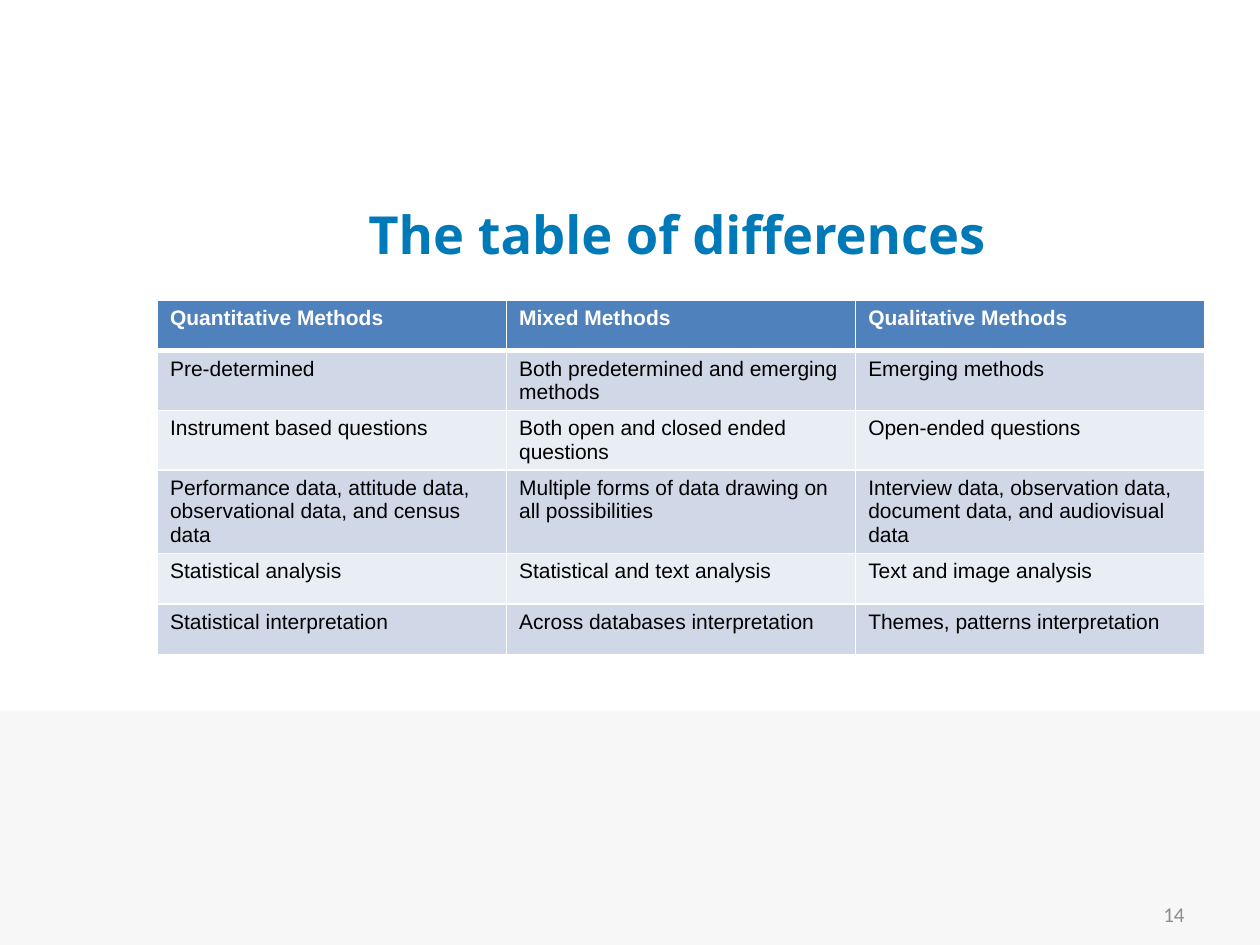
from dataclasses import dataclass
from lxml.etree import SubElement as Sub
from pptx import Presentation
from pptx.dml.color import RGBColor as RGB
from pptx.enum.shapes import MSO_SHAPE as Form
from pptx.enum.text import MSO_ANCHOR as Anchor, PP_ALIGN as Align
from pptx.oxml.ns import qn
from pptx.util import Pt

HUES = {
    "paper": "FFFFFF", "band": "F7F7F7", "title": "0079B8", "page": "8C8C8C",
    "head": "4F81BD", "odd": "D0D8E8", "even": "E9EDF4", "ink": "000000",
}
ROWS = [
    ("Quantitative Methods", "Mixed Methods", "Qualitative Methods"),
    ("Pre-determined", "Both predetermined and emerging methods",
     "Emerging methods"),
    ("Instrument based questions", "Both open and closed ended questions",
     "Open-ended questions"),
    ("Performance data, attitude data, observational data, and census data",
     "Multiple forms of data drawing on all possibilities",
     "Interview data, observation data, document data, and audiovisual data"),
    ("Statistical analysis", "Statistical and text analysis",
     "Text and image analysis"),
    ("Statistical interpretation", "Across databases interpretation",
     "Themes, patterns interpretation"),
]
COL, ROW = 199.5, 29


@dataclass
class Style:
    face: str
    size: float
    hue: str
    bold: bool = False


@dataclass
class Label:
    text: str
    box: tuple[float, float, float, float]
    align: Align
    style: Style


LABELS = [
    Label("The table of differences", (90, 108, 594, 50.4), Align.CENTER,
          Style("Open Sans", 30, "title", True)),
    Label("14", (516, 508, 168, 28.8), Align.RIGHT,
          Style("Calibri", 12, "page")),
]


def color(name: str) -> RGB:
    return RGB.from_string(HUES[name])


def write(frame, text: str, style: Style) -> None:
    frame.text = text
    font = frame.paragraphs[0].runs[0].font
    font.name, font.size, font.bold = style.face, Pt(style.size), style.bold
    font.color.rgb = color(style.hue)


def label(slide, item: Label) -> None:
    frame = slide.shapes.add_textbox(*map(Pt, item.box)).text_frame
    frame.word_wrap = True
    frame.vertical_anchor = Anchor.MIDDLE
    write(frame, item.text, item.style)
    frame.paragraphs[0].alignment = item.align


def edge(cell, side: str, width: float) -> None:
    line = Sub(cell._tc.get_or_add_tcPr(), qn(f"a:{side}"), w=str(Pt(width)))
    fill = Sub(line, qn("a:solidFill"))
    Sub(fill, qn("a:srgbClr"), val=HUES["paper"])


def grid(slide, left: float, top: float) -> None:
    rows, cols = len(ROWS), len(ROWS[0])
    table = slide.shapes.add_table(
        rows, cols, Pt(left), Pt(top), Pt(COL * cols), Pt(ROW * rows)).table
    for r, texts in enumerate(ROWS):
        head = r == 0
        fill = "head" if head else "odd" if r % 2 else "even"
        style = Style("Arial", 12, "paper" if head else "ink", head)
        for c, text in enumerate(texts):
            cell = table.cell(r, c)
            write(cell.text_frame, text, style)
            # Borders come before the fill in the cell properties
            for side in ("lnL", "lnR", "lnT", "lnB"):
                thick = (r, side) in ((0, "lnB"), (1, "lnT"))
                edge(cell, side, 3 if thick else 1)
            cell.fill.solid()
            cell.fill.fore_color.rgb = color(fill)


def main() -> None:
    deck = Presentation()
    deck.slide_width, deck.slide_height = Pt(720), Pt(540)
    slide = deck.slides.add_slide(deck.slide_layouts[6])

    # Footer band
    band = slide.shapes.add_shape(
        Form.RECTANGLE, Pt(0), Pt(406), Pt(720), Pt(134))
    band.shadow.inherit = False
    band.fill.solid()
    band.fill.fore_color.rgb = color("band")
    band.line.fill.background()

    # Table of methods
    grid(slide, 90, 171.4)

    # Title and page number
    for item in LABELS:
        label(slide, item)

    deck.save("out.pptx")


if __name__ == "__main__":
    main()
